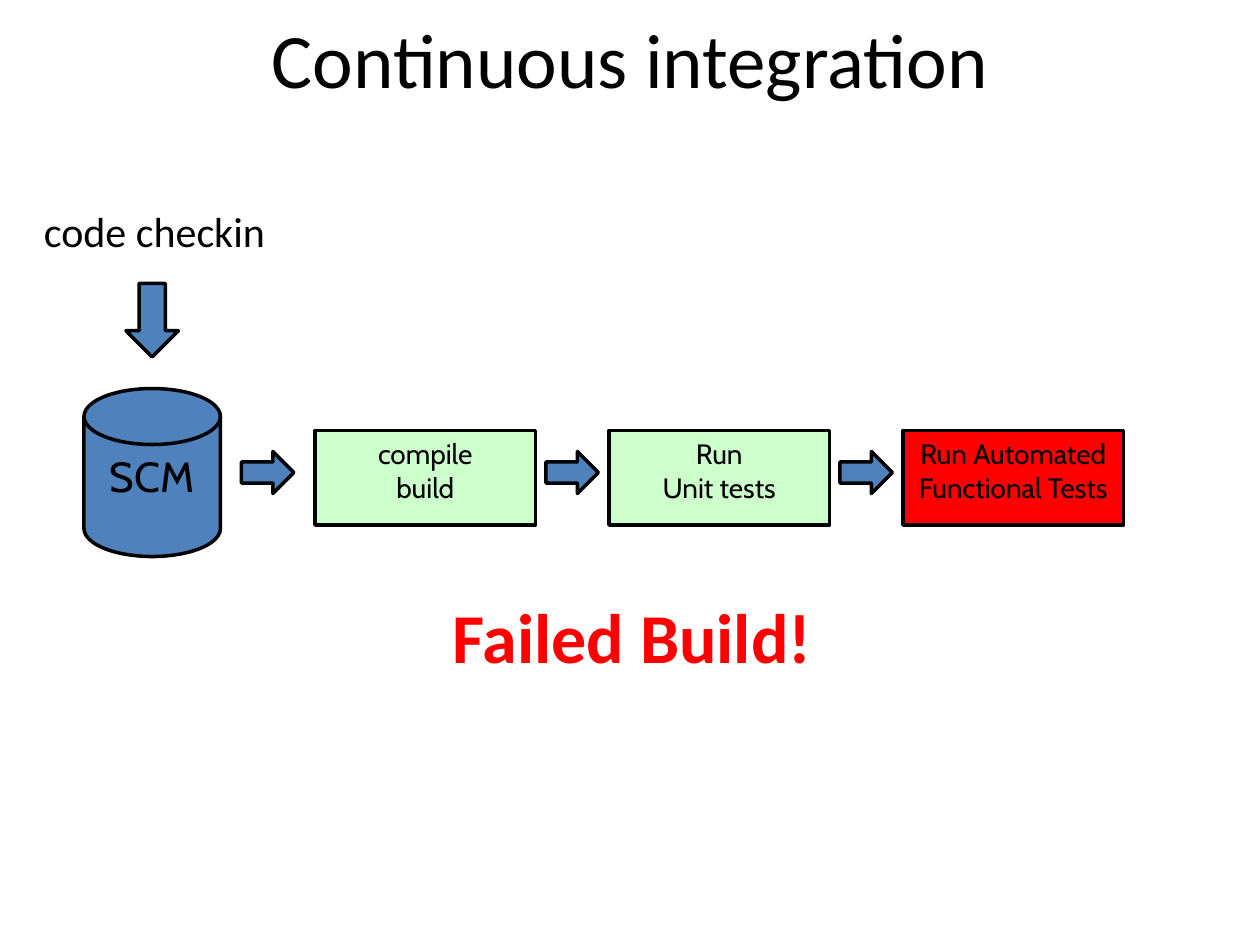
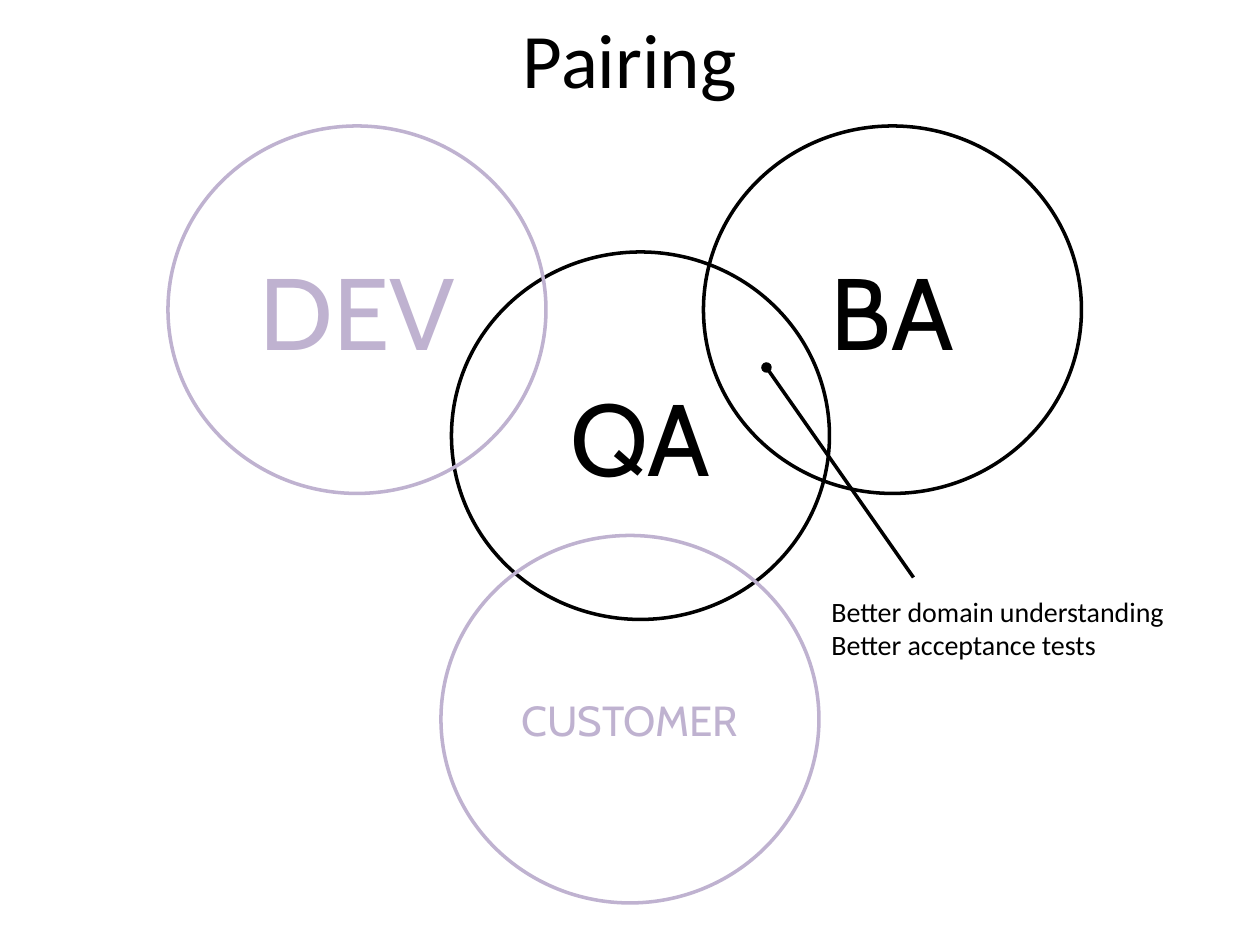
"""Build two slides: a continuous integration pipeline and a pairing diagram."""
from lxml.etree import SubElement
from pptx import Presentation
from pptx.dml.color import RGBColor
from pptx.enum.shapes import MSO_CONNECTOR, MSO_SHAPE
from pptx.enum.text import MSO_ANCHOR, MSO_AUTO_SIZE, PP_ALIGN
from pptx.oxml.ns import qn
from pptx.util import Pt

SCALE = 7620
BLACK, BLUE, GREEN, RED, LILAC = "000000", "4F81BD", "CCFFCC", "FF0000", "BFB2D0"
BODY, LABEL = "Calibri", "Cabin"


def px(*nums):
    return [num * SCALE for num in nums]


def color(code):
    return RGBColor.from_string(code)


def write(shape, text, size=16, font=BODY, ink=BLACK, bold=False,
          align=PP_ALIGN.CENTER, anchor=MSO_ANCHOR.TOP, wrap=True):
    frame = shape.text_frame
    frame.text = text
    frame.word_wrap = wrap
    frame.vertical_anchor = anchor
    for para in frame.paragraphs:
        para.alignment = align
        for run in para.runs:
            run.font.name = font
            run.font.size = Pt(size)
            run.font.bold = bold
            run.font.color.rgb = color(ink)


def add_text(slide, box, text, **style):
    shape = slide.shapes.add_textbox(*px(*box))
    write(shape, text, **style)
    return shape


def add_note(slide, box, text, size):
    note = add_text(slide, box, text, size=size, align=PP_ALIGN.LEFT, wrap=False)
    note.text_frame.auto_size = MSO_AUTO_SIZE.SHAPE_TO_FIT_TEXT


def add_form(slide, kind, box, fill=None, line=BLACK, text="", **style):
    shape = slide.shapes.add_shape(kind, *px(*box))
    shape.shadow.inherit = False
    if fill:
        shape.fill.solid()
        shape.fill.fore_color.rgb = color(fill)
    else:
        shape.fill.background()
    shape.line.color.rgb = color(line)
    shape.line.width = Pt(2)
    if text:
        write(shape, text, font=LABEL, **style)


def add_pointer(slide, start, end):
    line = slide.shapes.add_connector(MSO_CONNECTOR.STRAIGHT, *px(*start, *end))
    line.line.color.rgb = color(BLACK)
    line.line.width = Pt(2)
    SubElement(line.line._get_or_add_ln(), qn("a:tailEnd"), type="oval")
    SubElement(line._element.spPr, qn("a:effectLst"))


def add_slide(deck, title):
    slide = deck.slides.add_slide(deck.slide_layouts[6])
    add_text(slide, (48, 0, 1104, 110), title, size=44, anchor=MSO_ANCHOR.MIDDLE)
    return slide


def build_flow(deck):
    slide = add_slide(deck, "Continuous integration")
    add_note(slide, (30, 190, 239, 60), "code checkin", 24)
    add_form(slide, MSO_SHAPE.DOWN_ARROW, (120, 270, 50, 70), BLUE)
    add_form(slide, MSO_SHAPE.FLOWCHART_MAGNETIC_DISK, (80, 370, 130, 160), BLUE,
             text="SCM", size=24)
    steps = [("compile\nbuild", GREEN, 70), ("Run\nUnit tests", GREEN, 60),
             ("Run Automated\nFunctional Tests", RED, 60)]
    for num, (text, fill, lead) in enumerate(steps):
        left = 300 + 280 * num
        add_form(slide, MSO_SHAPE.RIGHT_ARROW, (left - lead, 430, 50, 40), BLUE)
        add_form(slide, MSO_SHAPE.FLOWCHART_PROCESS, (left, 410, 210, 90), fill, text=text)
    result = add_text(slide, (50, 550, 1104, 110), "Failed Build!", size=40, ink=RED,
                      bold=True, anchor=MSO_ANCHOR.MIDDLE)
    frame = result.text_frame
    frame.margin_left, frame.margin_top, frame.margin_right, frame.margin_bottom = px(4, 4, 4, 4)


def build_pairs(deck):
    slide = add_slide(deck, "Pairing")
    roles = [("QA", 430, 240, BLACK, 58), ("DEV", 160, 120, LILAC, 58),
             ("BA", 670, 120, BLACK, 58), ("CUSTOMER", 420, 510, LILAC, 24)]
    for role, left, top, ink, size in roles:
        add_form(slide, MSO_SHAPE.OVAL, (left, top, 360, 350), line=ink, text=role,
                 size=size, ink=ink, anchor=MSO_ANCHOR.MIDDLE)
    add_pointer(slide, (870, 550), (730, 350))
    add_note(slide, (780, 560, 342, 77),
             "Better domain understanding\nBetter acceptance tests", 16)


def main():
    deck = Presentation()
    deck.slide_width, deck.slide_height = px(1200, 900)
    build_flow(deck)
    build_pairs(deck)
    deck.save("out.pptx")


if __name__ == "__main__":
    main()
